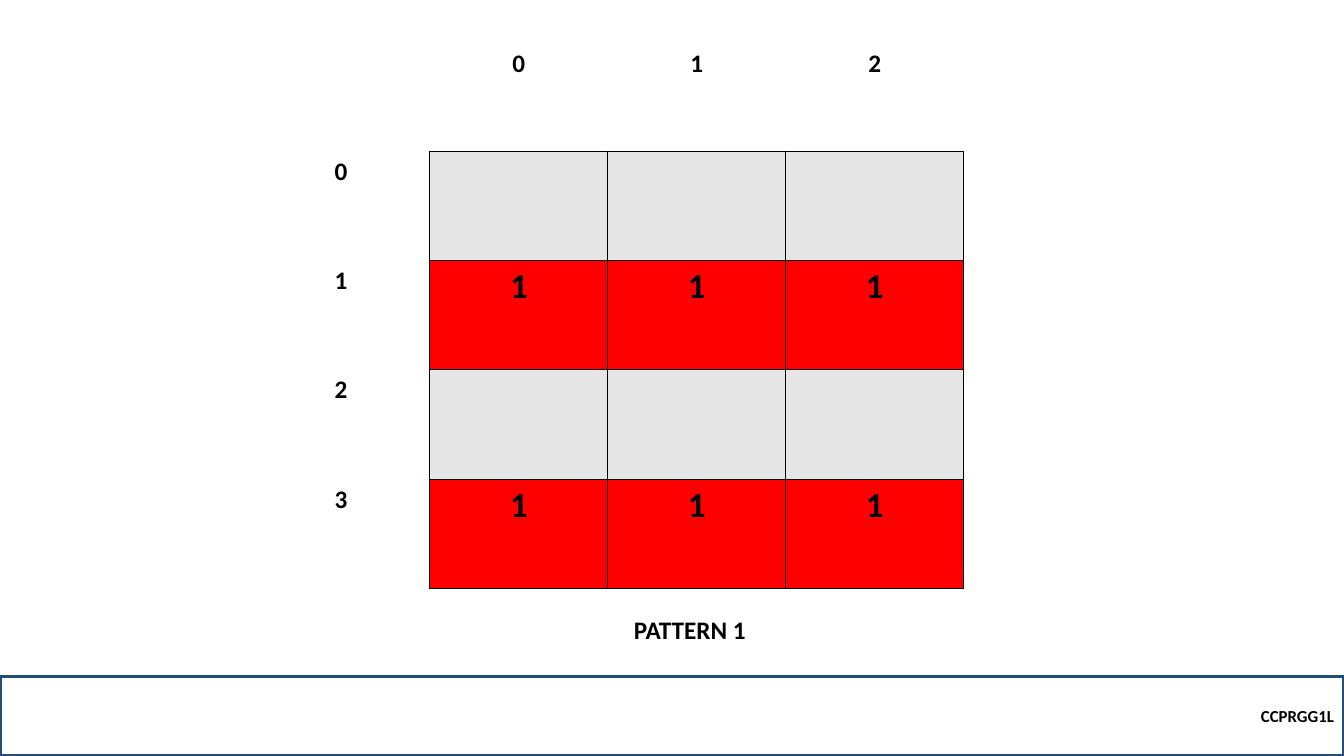
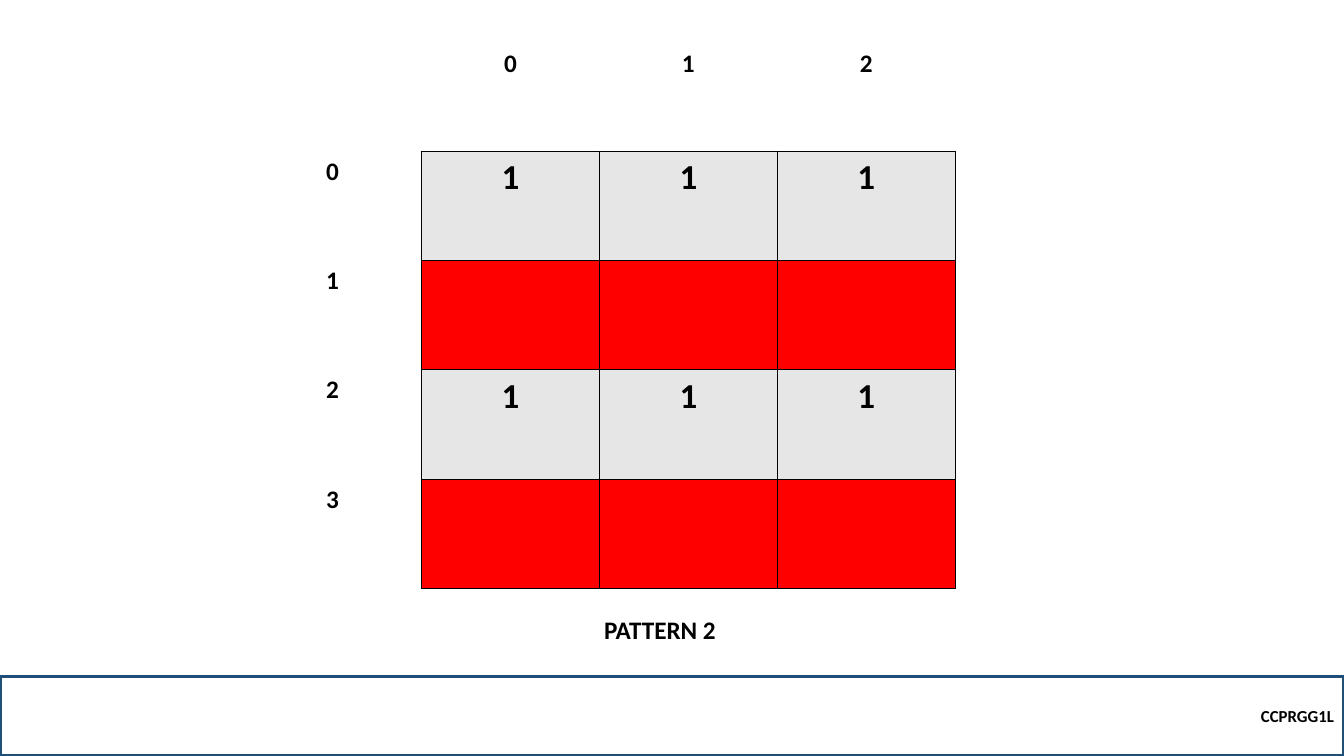
import dataclasses

import pptx
import pptx.dml.color
import pptx.enum.shapes
import pptx.enum.text
import pptx.oxml
import pptx.oxml.ns
import pptx.util
from pptx.util import Pt


@dataclasses.dataclass(frozen=True)
class Theme:
    """Colours, font and type sizes shared by the slides."""
    font: str = "Calibri"
    ink: str = "000000"
    band: str = "1F4E79"
    row_fills: tuple = ("E7E6E6", "FF0000")
    footer_size: int = 12
    label_size: int = 18
    value_size: int = 25


THEME = Theme()
ALIGN = pptx.enum.text.PP_ALIGN
RGB = pptx.dml.color.RGBColor.from_string
WIDTH, HEIGHT = 960, 540
ROWS, COLUMNS = 5, 4
COLUMN_WIDTH, HEADER_HEIGHT, ROW_HEIGHT = 127.1, 77, 78.1
TABLE_TOP = 31


def write(frame, text, size, alignment=ALIGN.LEFT):
    """Put one bold line of text in a frame."""
    frame.text = text
    para = frame.paragraphs[0]
    para.alignment = alignment
    for span in para.runs:
        span.font.name = THEME.font
        span.font.size = Pt(size)
        span.font.bold = True
        span.font.color.rgb = RGB(THEME.ink)


def set_borders(cell, edges):
    """Draw the named cell edges (from L, R, T, B) and clear the others."""
    properties = cell._tc.get_or_add_tcPr()
    for edge in "LRTB":
        paint = "<a:noFill/>"
        if edge in edges:
            paint = f'<a:solidFill><a:srgbClr val="{THEME.ink}"/></a:solidFill>'
        properties.append(pptx.oxml.parse_xml(
            f'<a:ln{edge} {pptx.oxml.ns.nsdecls("a")} w="{Pt(1)}">{paint}</a:ln{edge}>'))


deck = pptx.Presentation()
deck.slide_width, deck.slide_height = Pt(WIDTH), Pt(HEIGHT)

# Each pattern: caption, table left, caption position, parity of the rows holding ones
patterns = [
    ("PATTERN 1", 180, (445.7, 435), 1),
    ("PATTERN 2", 174, (424.4, 435), 0),
]

for caption, table_left, (caption_left, caption_top), parity in patterns:
    page = deck.slides.add_slide(deck.slide_layouts[6])

    footer = page.shapes.add_shape(pptx.enum.shapes.MSO_SHAPE.RECTANGLE,
                                   0, Pt(483), Pt(WIDTH), Pt(HEIGHT - 483))
    footer.shadow.inherit = False
    footer.fill.background()
    footer.line.color.rgb = RGB(THEME.band)
    footer.line.width = Pt(2.25)
    footer.text_frame.vertical_anchor = pptx.enum.text.MSO_ANCHOR.MIDDLE
    write(footer.text_frame, "CCPRGG1L", THEME.footer_size, ALIGN.RIGHT)

    table = page.shapes.add_table(
        ROWS, COLUMNS, Pt(table_left), Pt(TABLE_TOP), Pt(COLUMNS * COLUMN_WIDTH),
        Pt(HEADER_HEIGHT + (ROWS - 1) * ROW_HEIGHT)).table
    table.first_row = table.horz_banding = False
    for column in table.columns:
        column.width = Pt(COLUMN_WIDTH)
    for row_index, row in enumerate(table.rows):
        row.height = Pt(ROW_HEIGHT if row_index else HEADER_HEIGHT)
        for column_index, cell in enumerate(row.cells):
            if row_index and column_index:
                index = (row_index - 1) % 2
                text, size = "1" if index == parity else "", THEME.value_size
                edges, fill = "LRTB", THEME.row_fills[index]
            else:
                labelled = row_index + column_index > 0
                text = str(row_index + column_index - 1) if labelled else ""
                size, fill = THEME.label_size, None
                edges = "R" if row_index else "B" if column_index else ""
            write(cell.text_frame, text, size, ALIGN.CENTER)
            set_borders(cell, edges)
            if fill:
                cell.fill.solid()
                cell.fill.fore_color.rgb = RGB(fill)
            else:
                cell.fill.background()

    box = page.shapes.add_textbox(Pt(caption_left), Pt(caption_top), Pt(111.6), Pt(29))
    box.text_frame.word_wrap = True
    box.text_frame.auto_size = pptx.enum.text.MSO_AUTO_SIZE.SHAPE_TO_FIT_TEXT
    write(box.text_frame, caption, THEME.label_size)

deck.save("out.pptx")
